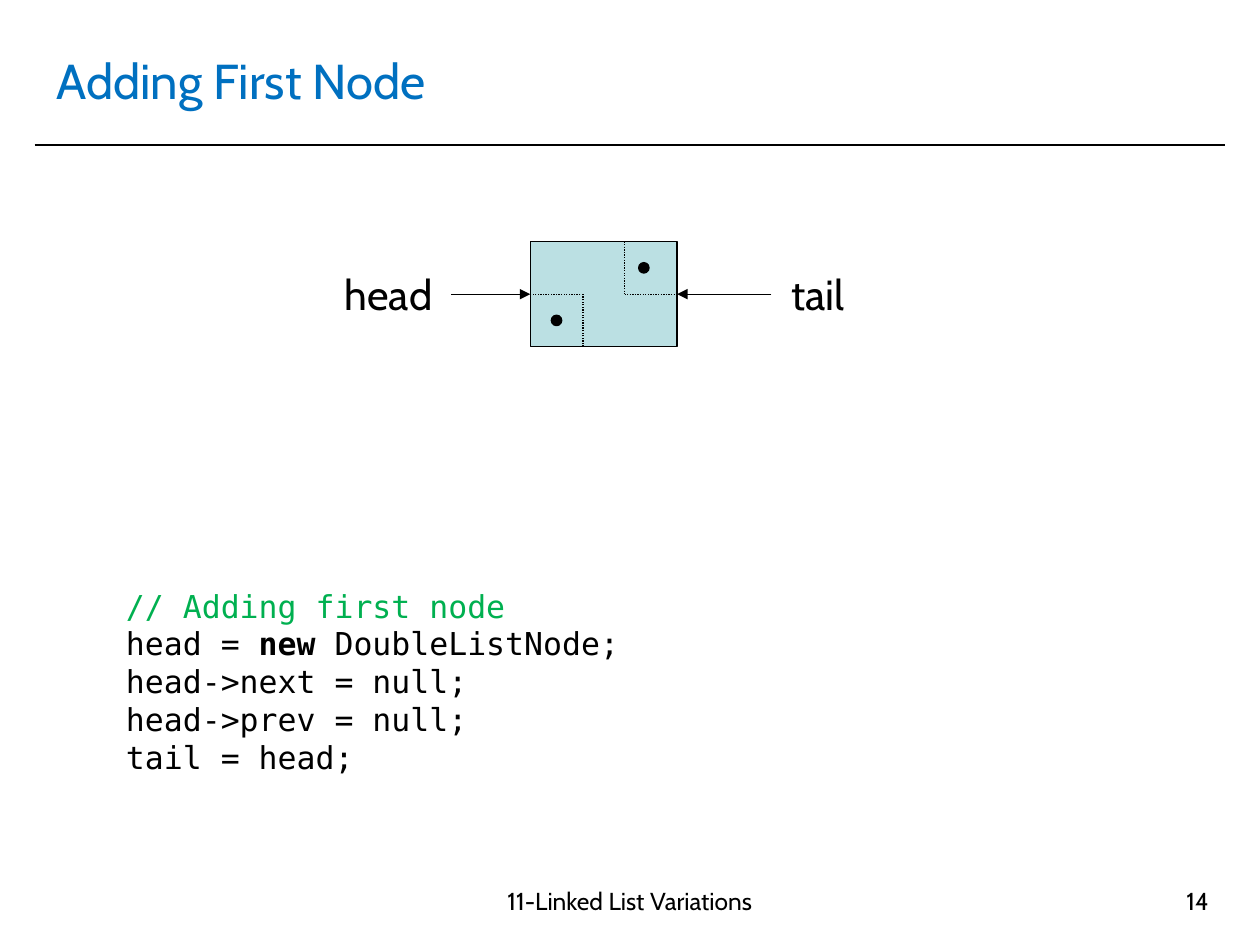
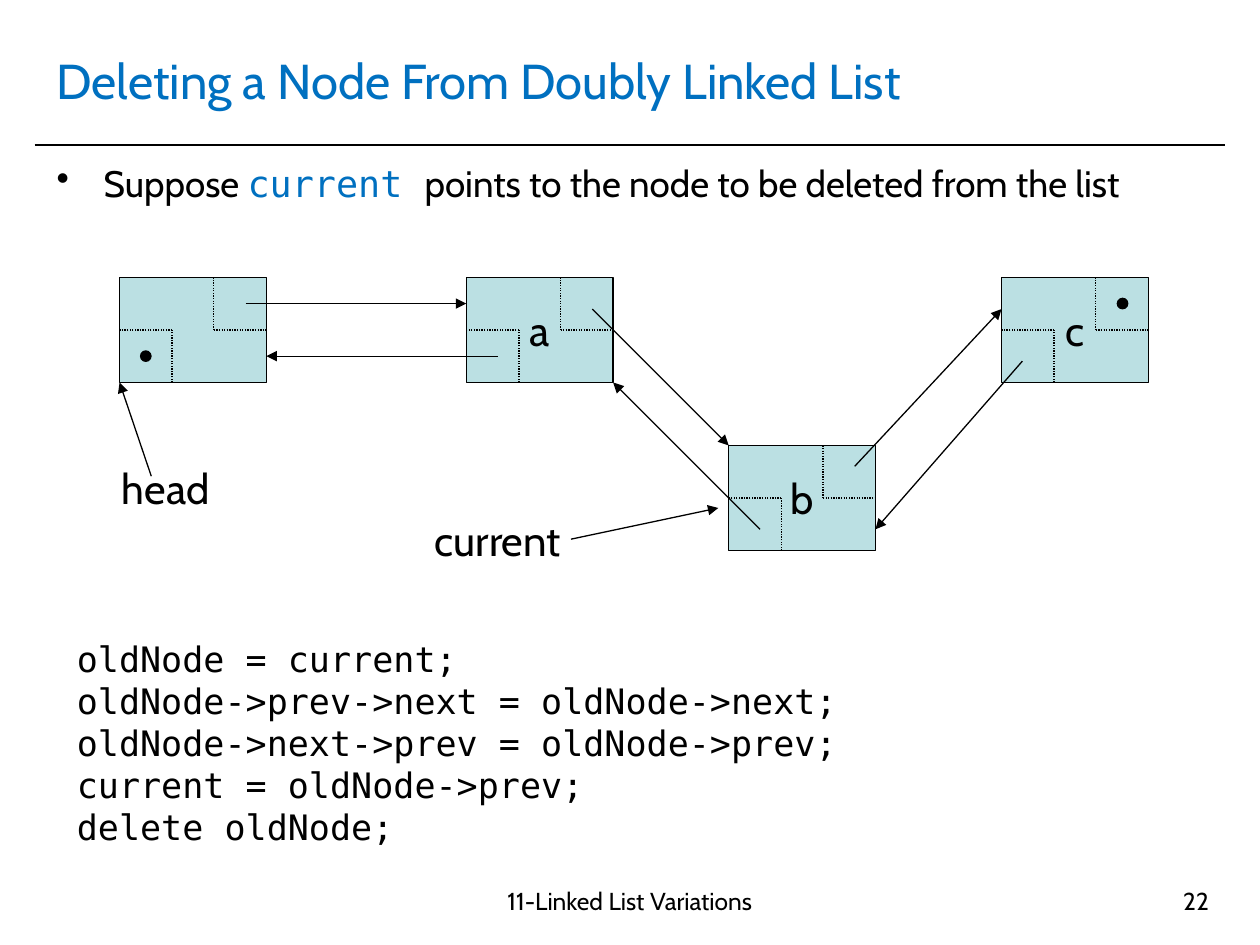
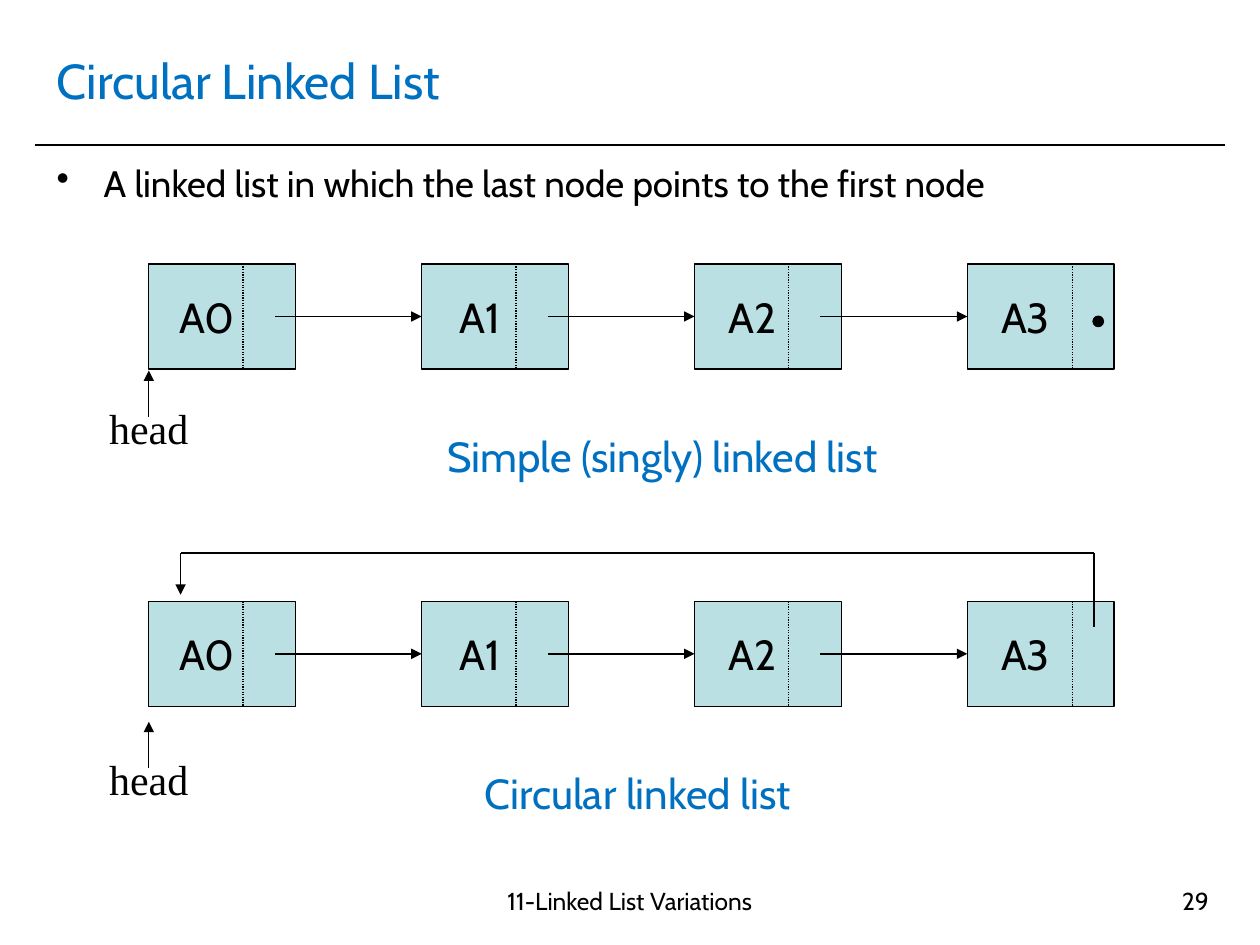
from dataclasses import dataclass
from typing import NamedTuple, Optional

from lxml.etree import SubElement
from pptx import Presentation
from pptx.dml.color import RGBColor
from pptx.enum.dml import MSO_LINE
from pptx.enum.shapes import MSO_CONNECTOR, MSO_SHAPE
from pptx.enum.text import MSO_ANCHOR as Anchor, PP_ALIGN as Align
from pptx.oxml.ns import qn
from pptx.shapes.autoshape import Shape
from pptx.shapes.connector import Connector
from pptx.slide import Slide
from pptx.util import Cm, Pt

# Shared style; every length is in centimetres
BLACK = RGBColor(0x00, 0x00, 0x00)
BLUE = RGBColor(0x00, 0x70, 0xC0)
GREEN = RGBColor(0x00, 0xB0, 0x50)
NODE_FILL = RGBColor(0xBB, 0xE0, 0xE3)
SANS, MONO, SERIF = "Cabin", "DejaVu Sans Mono", "Times New Roman"
FOOTER = "11-Linked List Variations"

NODE_W, NODE_H = 2.96, 2.12
FIELD_W, NEXT_X = 1.06, 1.9
DOT = 0.21
LEFT_SIDE, RIGHT_SIDE = 1, 3


class Point(NamedTuple):
    x: float
    y: float


class Box(NamedTuple):
    left: float
    top: float
    width: float
    height: float


class Span(NamedTuple):
    text: str
    color: RGBColor = BLACK
    font: str = SANS
    bold: bool = False


PREV_NULL = Point(0.53, 1.59)
NEXT_NULL = Point(2.44, 0.53)


@dataclass(frozen=True)
class Node:
    left: float
    top: float
    label: str = ""
    nulls: tuple[Point, ...] = ()

    def at(self, offset: Point) -> Point:
        return Point(self.left + offset.x, self.top + offset.y)


@dataclass(frozen=True)
class Link:
    source: Node
    start: Point
    target: Node
    end: Point


@dataclass(frozen=True)
class Chain:
    top: float
    head_top: float
    caption: str
    caption_left: float
    caption_top: float
    circular: bool


# Text
def write_lines(shape: Shape, lines: list[list[Span]], size: float,
                align: Align = Align.LEFT) -> None:
    frame = shape.text_frame
    for index, spans in enumerate(lines):
        paragraph = frame.paragraphs[0] if index == 0 else frame.add_paragraph()
        paragraph.alignment = align
        for span in spans:
            run = paragraph.add_run()
            run.text = span.text
            run.font.size = Pt(size)
            run.font.name = span.font
            run.font.bold = span.bold
            run.font.color.rgb = span.color


def add_text(slide: Slide, box: Box, lines: list[list[Span]], size: float,
             align: Align = Align.LEFT, anchor: Anchor = Anchor.TOP) -> Shape:
    area = slide.shapes.add_textbox(*map(Cm, box))
    area.text_frame.word_wrap = True
    area.text_frame.vertical_anchor = anchor
    write_lines(area, lines, size, align)
    return area


def add_label(slide: Slide, box: Box, text: str, font: str = SANS) -> None:
    add_text(slide, box, [[Span(text, font=font)]], 24)


def add_bullet(slide: Slide, spans: list[Span]) -> None:
    body = add_text(slide, Box(0.89, 3.12, 23.6, 1.6), [spans], 21)
    properties = body.text_frame.paragraphs[0]._p.get_or_add_pPr()
    properties.set("marL", str(Cm(0.95)))
    properties.set("indent", str(-Cm(0.95)))
    color = SubElement(properties, qn("a:buClr"))
    SubElement(color, qn("a:srgbClr"), val=str(BLACK))
    SubElement(properties, qn("a:buChar"), char="•")


# Lines
def add_line(slide: Slide, start: Point, end: Point, width: float = 0.75,
             arrow: bool = False, dotted: bool = False) -> Connector:
    line = slide.shapes.add_connector(
        MSO_CONNECTOR.STRAIGHT, *map(Cm, (*start, *end)))
    line.line.color.rgb = BLACK
    line.line.width = Pt(width)
    if dotted:
        line.line.dash_style = MSO_LINE.ROUND_DOT
    properties = line.element.spPr
    if arrow:
        SubElement(properties.find(qn("a:ln")), qn("a:tailEnd"), type="triangle")
    SubElement(properties, qn("a:effectLst"))
    return line


# List nodes
def add_outlined(slide: Slide, preset: MSO_SHAPE, box: Box, fill: RGBColor) -> Shape:
    shape = slide.shapes.add_shape(preset, *map(Cm, box))
    shape.shadow.inherit = False
    shape.fill.solid()
    shape.fill.fore_color.rgb = fill
    shape.line.color.rgb = BLACK
    shape.line.width = Pt(0.75)
    return shape


def add_node(slide: Slide, node: Node, right_inset: float = 0) -> Shape:
    cell = add_outlined(slide, MSO_SHAPE.RECTANGLE,
                        Box(node.left, node.top, NODE_W, NODE_H), NODE_FILL)
    if node.label:
        frame = cell.text_frame
        frame.vertical_anchor = Anchor.MIDDLE
        frame.margin_left, frame.margin_right = Cm(0), Cm(right_inset)
        write_lines(cell, [[Span(node.label)]], 24, Align.CENTER)
    return cell


def add_nulls(slide: Slide, node: Node) -> None:
    for offset in node.nulls:
        center = node.at(offset)
        add_outlined(slide, MSO_SHAPE.OVAL,
                     Box(center.x - DOT / 2, center.y - DOT / 2, DOT, DOT), BLACK)


def add_double_node(slide: Slide, node: Node) -> Shape:
    cell = add_node(slide, node)
    middle = NODE_H / 2
    # next field at upper right, prev field at lower left
    for field_x, outer_y, side_x, side in (
            (NEXT_X, 0, NODE_W, RIGHT_SIDE), (FIELD_W, NODE_H, 0, LEFT_SIDE)):
        corner = node.at(Point(field_x, middle))
        add_line(slide, node.at(Point(field_x, outer_y)), corner, dotted=True)
        edge = add_line(slide, corner, node.at(Point(side_x, middle)), dotted=True)
        edge.end_connect(cell, side)
    add_nulls(slide, node)
    return cell


# Title, rule and footer of every slide
def start_slide(deck: Presentation, title: str, number: int) -> Slide:
    slide = deck.slides.add_slide(deck.slide_layouts[6])
    add_line(slide, Point(0.7, 2.92), Point(24.7, 2.92), width=1)
    add_text(slide, Box(0.89, 0.53, 23.6, 2.16), [[Span(title, BLUE)]], 28,
             anchor=Anchor.MIDDLE)
    add_text(slide, Box(8.5, 17.73, 8.4, 1.32), [[Span(FOOTER)]], 14, Align.CENTER)
    add_text(slide, Box(18.7, 17.73, 5.92, 1.32), [[Span(str(number))]], 14,
             Align.RIGHT)
    return slide


def add_first_node_slide(deck: Presentation) -> None:
    slide = start_slide(deck, "Adding First Node", 14)
    first = Node(10.69, 4.87, nulls=(PREV_NULL, Point(2.29, 0.53)))
    cell = add_double_node(slide, first)
    middle = first.top + NODE_H / 2
    for start_x, end_x, side in ((9.1, first.left, LEFT_SIDE),
                                 (15.55, first.left + NODE_W, RIGHT_SIDE)):
        pointer = add_line(slide, Point(start_x, middle), Point(end_x, middle),
                           arrow=True)
        pointer.end_connect(cell, side)
    add_label(slide, Box(6.7, 5.28, 2.6, 1.27), "head")
    add_label(slide, Box(15.7, 5.28, 2, 1.27), "tail")

    code = [
        [Span("// Adding first node", GREEN, MONO)],
        [Span("head = ", font=MONO), Span("new ", font=MONO, bold=True),
         Span("DoubleListNode;", font=MONO)],
        [Span("head->next = null;", font=MONO)],
        [Span("head->prev = null;", font=MONO)],
        [Span("tail = head;", font=MONO)],
    ]
    add_text(slide, Box(2.29, 11.7, 12.4, 4.1), code, 18)


def add_deleting_slide(deck: Presentation) -> None:
    slide = start_slide(deck, "Deleting a Node From Doubly Linked List", 22)
    add_bullet(slide, [
        Span("Suppose "), Span("current ", BLUE, MONO),
        Span("points to the node to be deleted from the list")])
    code = ("oldNode = current;",
            "oldNode->prev->next = oldNode->next;",
            "oldNode->next->prev = oldNode->prev;",
            "current = oldNode->prev;",
            "delete oldNode;")
    add_text(slide, Box(1.3, 12.73, 16.2, 4.52),
             [[Span(line, font=MONO)] for line in code], 20)

    row_top = 5.59
    head = Node(2.41, row_top, nulls=(PREV_NULL,))
    a = Node(9.4, row_top, "a")
    b = Node(14.69, 8.98, "b")
    c = Node(20.19, row_top, "c", (NEXT_NULL,))
    for node in (head, a, b, c):
        add_double_node(slide, node)

    links = (
        Link(head, Point(2.54, 0.53), a, Point(0, 0.53)),
        Link(a, Point(0.63, 1.59), head, Point(NODE_W, 1.59)),
        Link(a, Point(2.54, 0.64), b, Point(0, 0)),
        Link(b, Point(0.63, 1.69), a, Point(NODE_W, NODE_H)),
        Link(b, Point(2.54, 0.42), c, Point(0, 0.64)),
        Link(c, Point(0.42, 1.69), b, Point(NODE_W, 1.69)),
    )
    for link in links:
        add_line(slide, link.source.at(link.start), link.target.at(link.end),
                 arrow=True)

    add_label(slide, Box(2.21, 9.2, 2.74, 1.27), "head")
    add_line(slide, Point(3.05, 9.6), head.at(Point(0, NODE_H)), arrow=True)
    add_label(slide, Box(8.51, 10.24, 3.2, 1.27), "current")
    add_line(slide, Point(11.51, 10.87), Point(14.48, 10.24), arrow=True)


def add_chain(slide: Slide, chain: Chain) -> None:
    first_left, pitch, last = 3, 5.5, 3
    middle = chain.top + NODE_H / 2
    previous: Optional[Node] = None
    for index in range(last + 1):
        at_end = index == last
        nulls = (Point(2.64, 1.16),) if at_end and not chain.circular else ()
        node = Node(first_left + index * pitch, chain.top, f"A{index}", nulls)
        cell = add_node(slide, node, right_inset=0.61)
        divider = 2.12 if at_end else NEXT_X
        add_line(slide, node.at(Point(divider, 0)),
                 node.at(Point(divider, NODE_H)), dotted=True)
        add_nulls(slide, node)
        if previous:
            pointer = add_line(slide, Point(previous.left + 2.54, middle),
                               Point(node.left, middle), width=1, arrow=True)
            pointer.end_connect(cell, LEFT_SIDE)
        previous = node

    if chain.circular:
        last_x, first_x, return_y = 22.05, 3.64, chain.top - 0.97
        route = (Point(last_x, chain.top + 0.51), Point(last_x, return_y),
                 Point(first_x, return_y), Point(first_x, chain.top - 0.13))
        for start, end in zip(route, route[1:]):
            add_line(slide, start, end, width=1, arrow=end == route[-1])

    add_label(slide, Box(1.95, chain.head_top, 2.11, 1.27), "head", SERIF)
    add_line(slide, Point(first_left, chain.head_top + 0.43),
             Point(first_left, chain.head_top - 0.51), arrow=True)
    add_text(slide, Box(chain.caption_left, chain.caption_top, 11.53, 1.27),
             [[Span(chain.caption, BLUE)]], 24, Align.CENTER)


def add_circular_slide(deck: Presentation) -> None:
    slide = start_slide(deck, "Circular Linked List", 29)
    add_bullet(slide, [
        Span("A linked list in which the last node points to the first node")])
    add_chain(slide, Chain(5.32, 7.98, "Simple (singly) linked list",
                           7.59, 8.56, circular=False))
    add_chain(slide, Chain(12.12, 15.06, "Circular linked list",
                           7.09, 15.34, circular=True))


def main() -> None:
    deck = Presentation()
    deck.slide_width, deck.slide_height = Cm(25.4), Cm(19.05)
    add_first_node_slide(deck)
    add_deleting_slide(deck)
    add_circular_slide(deck)
    deck.save("out.pptx")


if __name__ == "__main__":
    main()
